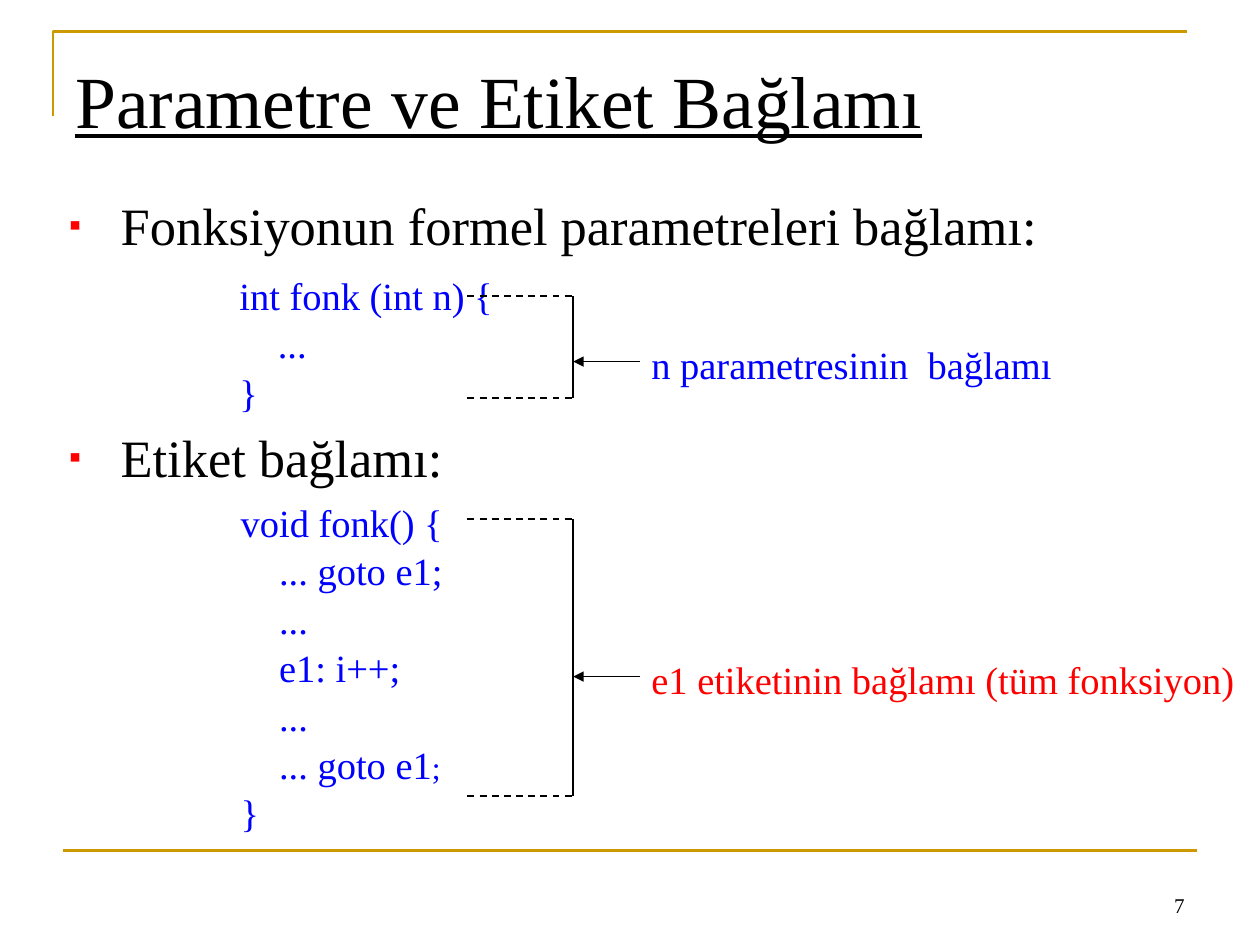
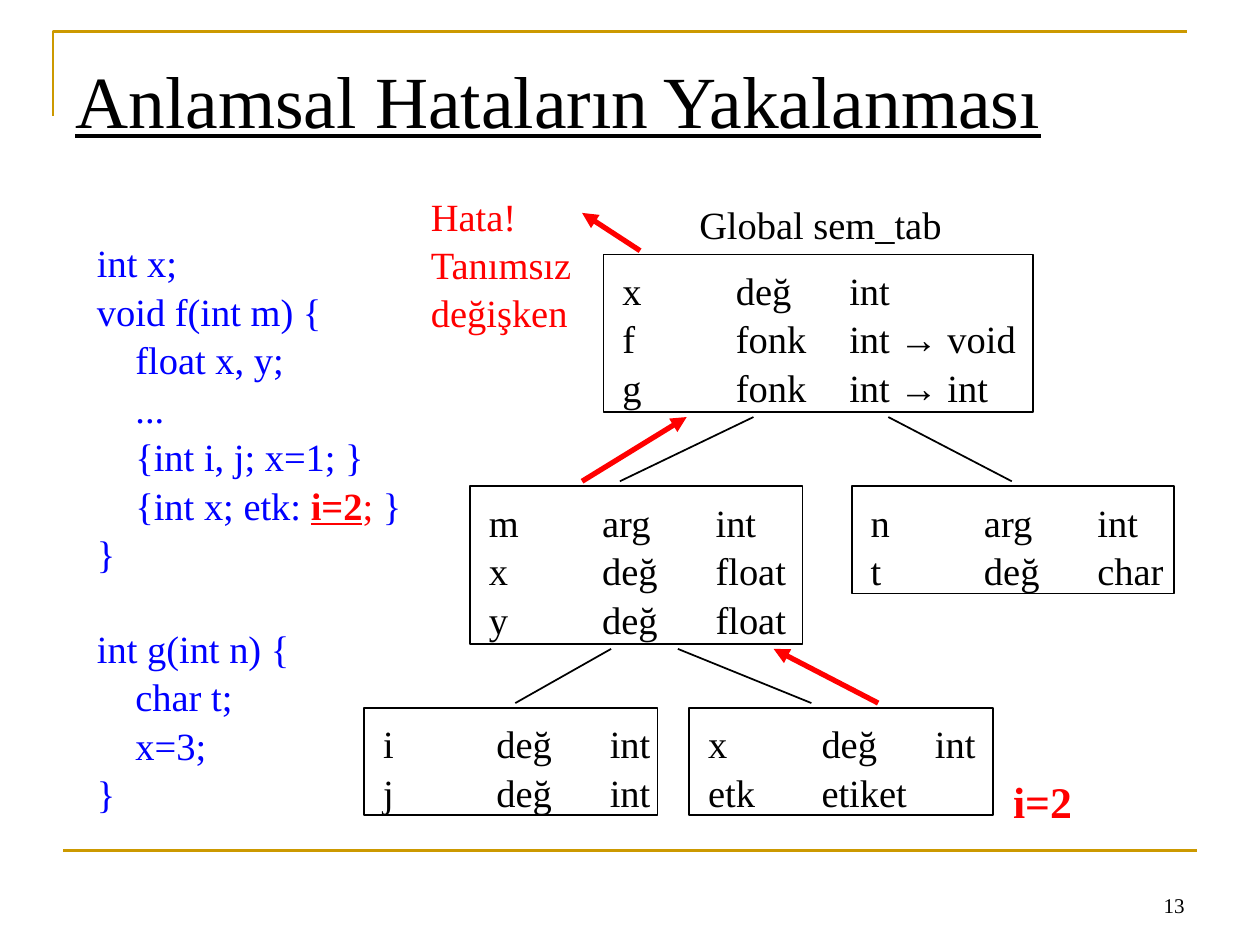
from dataclasses import dataclass

from lxml import etree
from pptx import Presentation
from pptx import util as u
from pptx.dml.color import RGBColor
from pptx.enum import dml, shapes, text
from pptx.oxml import ns

COLS, ROWS = 100, 75
WIDTH, HEIGHT = u.Inches(10), u.Inches(7.5)


@dataclass(frozen=True)
class Theme:
    ink: str = "000000"
    code: str = "0000FF"
    alert: str = "FF0000"
    frame: str = "CC9900"
    serif: str = "Times New Roman"
    sans: str = "Arial"
    title: int = 42
    body: int = 30
    result: int = 25
    text: int = 22
    small: int = 18
    number: int = 12
    thin: float = 1
    rule: float = 1.5
    thick: float = 3
    leading: float = 1.05


T = Theme()
CODE_INSETS = (0.9, 0.4, 0.9, 0.4)
WIDE_INSETS = (1, 0.5, 1, 0.5)
ARROW = ("→", {"font": T.sans})


def col(n):
    return round(WIDTH * n / COLS)


def row(n):
    return round(HEIGHT * n / ROWS)


def place(box):
    x, y, w, h = box
    return col(x), row(y), col(w), row(h)


def add_xml(parent, tag, **attrs):
    return etree.SubElement(parent, ns.qn(tag), attrs)


def set_bullet(p):
    pr = p._p.get_or_add_pPr()
    pr.set("marL", str(col(4.1)))
    pr.set("indent", str(-col(4.1)))
    add_xml(add_xml(pr, "a:buClr"), "a:srgbClr", val=T.alert)
    add_xml(pr, "a:buSzPct", val="65000")
    add_xml(pr, "a:buFont", typeface=T.sans)
    add_xml(pr, "a:buChar", char="▪")


def set_tabs(p, stops):
    tabs = add_xml(p._p.get_or_add_pPr(), "a:tabLst")
    for stop in stops:
        add_xml(tabs, "a:tab", pos=str(col(stop)), algn="l")


def add_run(p, words, size=T.text, colour=T.ink, font=T.serif, bold=False, underline=False):
    r = p.add_run()
    r.text = words
    r.font.size = u.Pt(size)
    r.font.name = font
    r.font.bold = bold
    r.font.underline = underline
    r.font.color.rgb = RGBColor.from_string(colour)


def write(sp, lines, insets=CODE_INSETS, wrap=False, anchor=text.MSO_ANCHOR.TOP,
          align=text.PP_ALIGN.LEFT, bullet=False, tabs=(), gaps=None, **style):
    tf = sp.text_frame
    tf.word_wrap = wrap
    tf.auto_size = text.MSO_AUTO_SIZE.NONE
    tf.vertical_anchor = anchor
    tf.margin_left, tf.margin_right = col(insets[0]), col(insets[2])
    tf.margin_top, tf.margin_bottom = row(insets[1]), row(insets[3])
    for i, line in enumerate(lines):
        p = tf.paragraphs[0] if i == 0 else tf.add_paragraph()
        if bullet:
            set_bullet(p)
        if tabs:
            set_tabs(p, tabs)
        p.alignment = align
        p.line_spacing = T.leading
        p.space_before = u.Pt((gaps or {}).get(i, 0))
        for part in [line] if isinstance(line, str) else line:
            words, extra = (part, {}) if isinstance(part, str) else part
            add_run(p, words, **{**style, **extra})


def add_text(s, box, *lines, **fmt):
    write(s.shapes.add_textbox(*place(box)), lines, **fmt)


def add_line(s, start, end, colour=T.ink, width=T.thin, dash=False, arrow=False):
    c = s.shapes.add_connector(shapes.MSO_CONNECTOR.STRAIGHT, col(start[0]), row(start[1]),
                               col(end[0]), row(end[1]))
    c.line.color.rgb = RGBColor.from_string(colour)
    c.line.width = u.Pt(width)
    if dash:
        c.line.dash_style = dml.MSO_LINE.DASH
    if arrow:
        add_xml(c.line._get_or_add_ln(), "a:tailEnd", type="triangle")
    add_xml(c._element.spPr, "a:effectLst")


def add_frame(s, title, number):
    fb = s.shapes.build_freeform(col(4.2), row(9.2))
    fb.add_line_segments([(col(4.2), row(2.5)), (col(94.2), row(2.5))], close=False)
    sp = fb.convert_to_shape()
    sp.shadow.inherit = False
    sp.fill.background()
    sp.line.color.rgb = RGBColor.from_string(T.frame)
    sp.line.width = u.Pt(T.rule)
    add_line(s, (5, 67.5), (95, 67.5), colour=T.frame, width=T.rule)
    add_text(s, (71.7, 68.3, 23.3, 5), str(number), size=T.number, insets=WIDE_INSETS, wrap=True,
             anchor=text.MSO_ANCHOR.BOTTOM, align=text.PP_ALIGN.RIGHT)
    add_text(s, (5, 3, 90, 12.5), title, size=T.title, underline=True, wrap=True,
             insets=(1, 1, 1, 0.5))


def add_scope(s, box, code, span, arrow_y, label, label_width, colour):
    x, y, w, h = box
    add_text(s, box, *code, colour=T.code)
    left, right, tip = 37.1, 45.5, 50.8
    top, bottom = y + span[0], y + span[1]
    for edge in (top, bottom):
        add_line(s, (left, edge), (right, edge), dash=True)
    add_line(s, (right, top), (right, bottom))
    add_line(s, (tip, y + arrow_y), (right, y + arrow_y), arrow=True)
    add_text(s, (tip, y + arrow_y - 2.2, label_width, 4.6), label, colour=colour)


def add_node(s, x, y, w, lines):
    sp = s.shapes.add_shape(shapes.MSO_SHAPE.RECTANGLE, *place((x, y, w, 4 * len(lines) + 0.5)))
    sp.shadow.inherit = False
    sp.fill.background()
    sp.line.color.rgb = RGBColor.from_string(T.ink)
    sp.line.width = u.Pt(T.thin)
    write(sp, lines, insets=(1.5, 0.8, 0, 0), wrap=True, tabs=(9, 18))


def add_scope_tree(s, x, y):
    levels = [y, y + 18.4, y + 36]
    nodes = [
        (0, 19, 34.1, ["x\tdeğ\tint", ["f\tfonk\tint ", ARROW, " void"],
                       ["g\tfonk\tint ", ARROW, " int"]]),
        (1, 8.4, 26.4, ["m\targ\tint", "x\tdeğ\tfloat", "y\tdeğ\tfloat"]),
        (1, 38.7, 25.6, ["n\targ\tint", "t\tdeğ\tchar"]),
        (2, 0, 23.3, ["i\tdeğ\tint", "j\tdeğ\tint"]),
        (2, 25.8, 24.1, ["x\tdeğ\tint", "etk\tetiket"]),
    ]
    for level, dx, w, lines in nodes:
        add_node(s, x + dx, levels[level], w, lines)
    links = [(0, 30.9, 20.3, False), (0, 41.6, 51.4, False), (1, 19.6, 12, False),
             (1, 24.9, 35.5, False), (1, 32.5, 40.8, True), (0, 25.6, 17.3, True)]
    for level, upper, lower, search in links:
        parent = (x + upper, levels[level] + 12.9)
        child = (x + lower, levels[level + 1] - 0.4)
        if search:
            add_line(s, child, parent, colour=T.alert, width=T.thick, arrow=True)
        else:
            add_line(s, parent, child)
    add_text(s, (x + 25.7, y - 4.8, 21, 4.6), "Global sem_tab")
    add_text(s, (x + 50.6, y + 40.7, 6.5, 5.1), "i=2", size=T.result, colour=T.alert, bold=True)
    add_line(s, (x + 21.9, y - 0.3), (x + 17.3, y - 3.3),
             colour=T.alert, width=T.thick, arrow=True)


def add_scopes_slide(s):
    add_frame(s, "Parametre ve Etiket Bağlamı", 7)
    add_text(s, (4.5, 14.4, 90, 49.6), "Fonksiyonun formel parametreleri bağlamı:",
             "Etiket bağlamı:", size=T.body, bullet=True, wrap=True, gaps={1: 94.5},
             insets=(1, 0.7, 1, 0.5))
    add_scope(s, (18.1, 21, 21.9, 11.9), ["int fonk (int n) {", "    ...", "}"],
              (2.5, 10.6), 7.7, "n parametresinin  bağlamı", 33.6, T.code)
    label_code = ["void fonk() {", "    ... goto e1;", "    ...", "    e1: i++;", "    ...",
                  ["    ... goto e1", (";", {"size": T.small})], "}"]
    add_scope(s, (18.2, 39, 17.8, 26.6), label_code, (2.2, 24.2), 14.7,
              "e1 etiketinin bağlamı (tüm fonksiyon)", 48.1, T.alert)


def add_errors_slide(s):
    add_frame(s, "Anlamsal Hataların Yakalanması", 13)
    faulty = ["    {int x; etk: ", ("i=2", {"colour": T.alert, "bold": True, "underline": True}),
              (";", {"colour": T.alert}), " }"]
    add_text(s, (6.8, 18.4, 26, 44.9), "int x;", "void f(int m) {", "    float x, y;", "    ...",
             "    {int i, j; x=1; }", faulty, "}", "int g(int n) {", "    char t;", "    x=3;", "}",
             colour=T.code, gaps={7: 26.5})
    add_scope_tree(s, 28.9, 20.2)
    add_text(s, (33.3, 14.7, 13.2, 11.9), "Hata!", "Tanımsız", "değişken", colour=T.alert)


def main():
    prs = Presentation()
    prs.slide_width, prs.slide_height = WIDTH, HEIGHT
    for build in (add_scopes_slide, add_errors_slide):
        build(prs.slides.add_slide(prs.slide_layouts[6]))
    prs.save("out.pptx")


if __name__ == "__main__":
    main()
